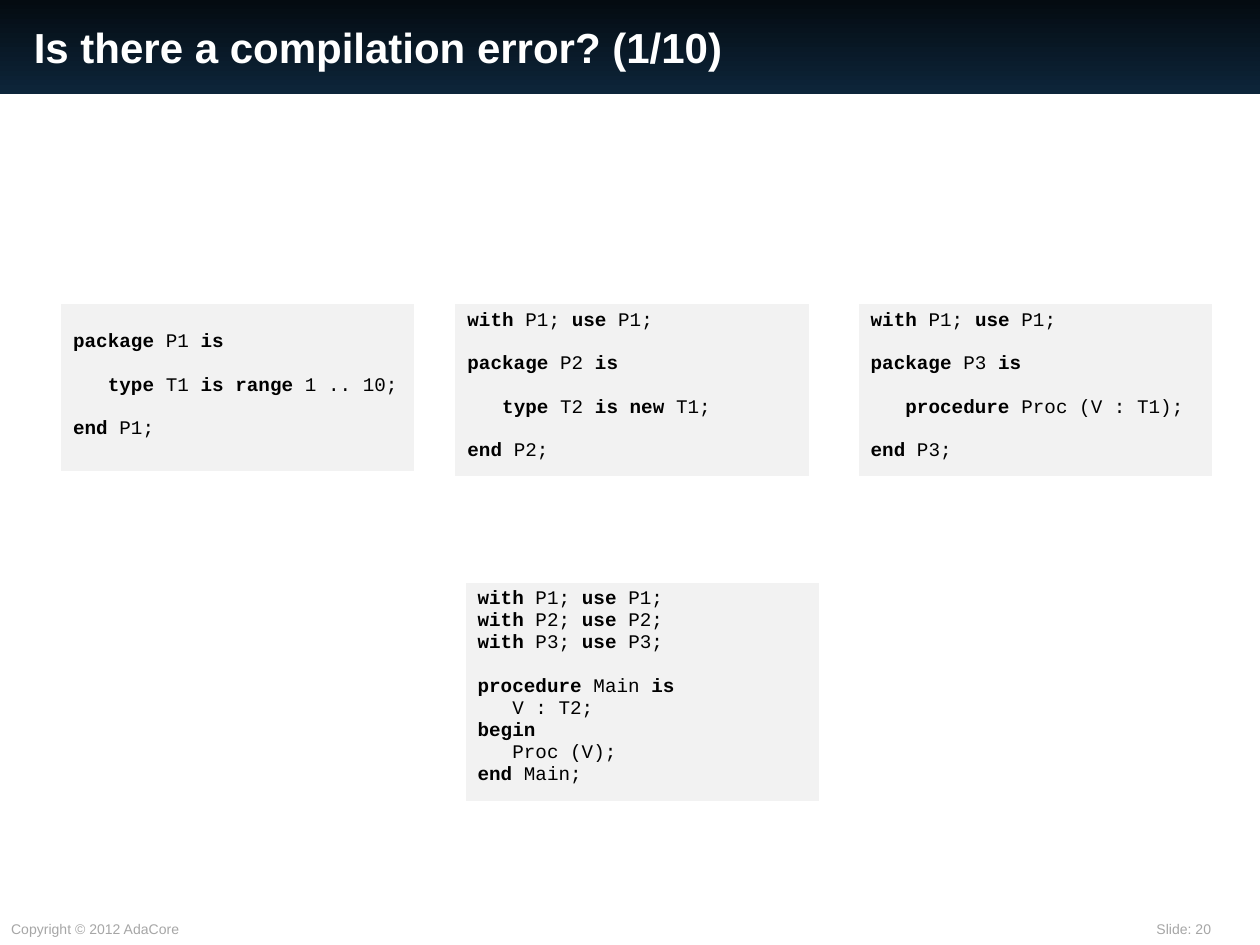
from lxml import etree
from pptx import Presentation
from pptx import util as u
from pptx.dml.color import RGBColor
from pptx.enum import shapes, text
from pptx.oxml.ns import qn

W, H = 10, 7.5
THEME = {
    "header": ("040B11", "0D253A"),
    "code_fill": "F2F2F2",
    "border": "FFFFFF",
    "title": {"name": "Arial", "size": u.Pt(24), "bold": True, "color": "FFFFFF"},
    "footer": {"name": "Arial", "size": u.Pt(8), "bold": False, "color": "A6A6A6"},
    "code": {"name": "Courier New", "size": u.Pt(11), "color": "000000"},
}
BORDERS = {"a:lnL": 0.45, "a:lnR": 0.45, "a:lnT": 0.45, "a:lnB": 1.47}
CODE_GAP = 12.3  # points between groups of lines
CODE_W = 2.81
ROW_TOP, MAIN_TOP = 2.41, 4.62
MARGIN = 0.05

# (text, left, top, width, height, style, wraps)
LABELS = [
    ("Is there a compilation error? (1/10)", 0.17, 0.08, 8.75, 0.58, "title", True),
    ("Slide: 20", 9.08, 7.26, 0.91, 0.24, "footer", True),
    ("Copyright © 2012 AdaCore", -0.01, 7.26, 1.57, 0.24, "footer", False),
]

# (left, top, height, top margin, groups of lines); keywords stand between stars
LISTINGS = [
    (0.48, ROW_TOP, 1.34, MARGIN + 0.17, [
        ["*package* P1 *is*"],
        ["   *type* T1 *is range* 1 .. 10;"],
        ["*end* P1;"]]),
    (3.61, ROW_TOP, 1.38, MARGIN, [
        ["*with* P1; *use* P1;"],
        ["*package* P2 *is*"],
        ["   *type* T2 *is new* T1;"],
        ["*end* P2;"]]),
    (6.81, ROW_TOP, 1.38, MARGIN, [
        ["*with* P1; *use* P1;"],
        ["*package* P3 *is*"],
        ["   *procedure* Proc (V : T1);"],
        ["*end* P3;"]]),
    (3.69, MAIN_TOP, 1.75, MARGIN, [
        ["*with* P1; *use* P1;", "*with* P2; *use* P2;", "*with* P3; *use* P3;"],
        ["*procedure* Main *is*", "   V : T2;", "*begin*", "   Proc (V);",
         "*end* Main;"]]),
]


def inches(*values):
    return [u.Inches(v) for v in values]


def add_run(p, words, style, **extra):
    r = p.add_run()
    r.text = words
    for key, value in {**THEME[style], **extra}.items():
        if key == "color":
            r.font.color.rgb = RGBColor.from_string(value)
        else:
            setattr(r.font, key, value)


def add_header(s):
    sp = s.shapes.add_shape(shapes.MSO_SHAPE.RECTANGLE, *inches(0, 0, W, H / 10))
    sp.shadow.inherit = False
    sp.line.fill.background()
    sp.fill.gradient()
    sp.fill.gradient_angle = 270
    for stop, position, color in zip(sp.fill.gradient_stops, (0, 1), THEME["header"]):
        stop.position = position
        stop.color.rgb = RGBColor.from_string(color)


def add_label(s, words, left, top, width, height, style, wraps):
    tf = s.shapes.add_textbox(*inches(left, top, width, height)).text_frame
    tf.word_wrap = wraps
    if style == "title":
        tf.vertical_anchor = text.MSO_ANCHOR.MIDDLE
    add_run(tf.paragraphs[0], words, style)


def add_borders(cell):
    """Put the border lines ahead of the fill, as the schema requires."""
    tc_pr = cell._tc.get_or_add_tcPr()
    for i, (tag, points) in enumerate(BORDERS.items()):
        ln = etree.Element(qn(tag), w=str(u.Pt(points)))
        fill = etree.SubElement(ln, qn("a:solidFill"))
        etree.SubElement(fill, qn("a:srgbClr"), val=THEME["border"])
        tc_pr.insert(i, ln)


def add_listing(s, left, top, height, margin_top, groups):
    table = s.shapes.add_table(1, 1, *inches(left, top, CODE_W, height)).table
    table.first_row = table.horz_banding = False
    cell = table.cell(0, 0)
    cell.margin_top = u.Inches(margin_top)
    cell.fill.solid()
    cell.fill.fore_color.rgb = RGBColor.from_string(THEME["code_fill"])
    add_borders(cell)
    tf = cell.text_frame
    for g, group in enumerate(groups):
        for n, line in enumerate(group):
            first = g == n == 0
            p = tf.paragraphs[0] if first else tf.add_paragraph()
            if n == 0 and not first:
                p.space_before = u.Pt(CODE_GAP)
            for i, part in enumerate(line.split("*")):
                if part:
                    add_run(p, part, "code", bold=i % 2 == 1)


def main():
    prs = Presentation()
    prs.slide_width, prs.slide_height = inches(W, H)
    s = prs.slides.add_slide(prs.slide_layouts[6])
    add_header(s)
    for label in LABELS:
        add_label(s, *label)
    for listing in LISTINGS:
        add_listing(s, *listing)
    prs.save("out.pptx")


if __name__ == "__main__":
    main()
